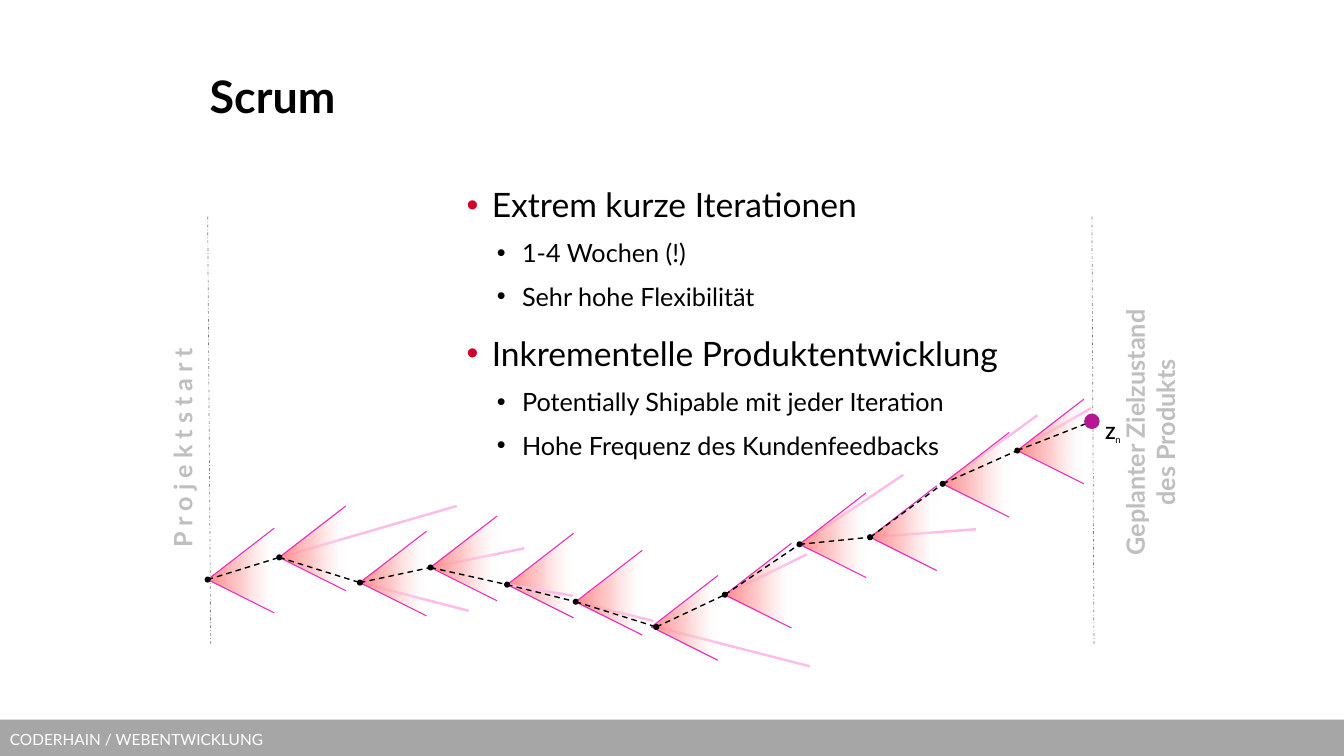
from dataclasses import dataclass
from itertools import pairwise
from typing import Any, NamedTuple

from lxml import etree
from pptx import Presentation
from pptx.dml.color import RGBColor
from pptx.enum import dml, shapes, text
from pptx.oxml import ns
from pptx.util import Inches, Pt

Point = tuple[float, float]


@dataclass(frozen=True)
class Theme:
    font: str = "Lato"
    ink: str = "000000"
    white: str = "FFFFFF"
    bar: str = "A6A6A6"
    label: str = "BFBFBF"
    guide: str = "808080"
    accent: str = "D10029"
    edge: str = "E729BF"
    trail: str = "FFBCE9"
    goal: str = "B71595"
    rim: str = "AB1E8D"
    # position, colour and opacity, all but the colour in percent
    fade: tuple = ((0, "FF8688", 100), (50, "FFB7B8", 70),
                   (80, "FFDCDC", 34), (99, "FFFFFF", 1))
    title: float = 32
    large: float = 24
    body: float = 18
    mark: float = 12
    foot: float = 11


class Sprint(NamedTuple):
    tip: Point
    trail: Point | None = None
    shift: float = 0  # dot's distance to the right of the cone's tip
    front: bool = False  # trail lies over the cone

    @property
    def dot(self) -> Point:
        return self.tip[0] + self.shift, self.tip[1]


class Bullet(NamedTuple):
    words: str
    level: int = 1


class Label(NamedTuple):
    lines: tuple[str, ...]
    mid: Point
    tall: float


T = Theme()
WIDE = 13.33
GOAL = (10.83, 4.18)
CONE, RISE, DROP = 0.66, -0.51, 0.33

SPRINTS = [
    Sprint((2.06, 5.75)),
    Sprint((2.77, 5.53), (4.53, 5.02)),
    Sprint((3.57, 5.78), (4.65, 6.06)),
    Sprint((4.27, 5.63), (5.2, 5.44)),
    Sprint((5.03, 5.8), (5.68, 5.91), front=True),
    Sprint((5.71, 5.97), (6.48, 6.16)),
    Sprint((6.46, 6.22), (8.03, 6.61), shift=0.05),
    Sprint((7.19, 5.9), (8, 5.5)),
    Sprint((7.93, 5.4), (8.96, 4.71)),
    Sprint((8.63, 5.33), (9.68, 5.25)),
    Sprint((9.35, 4.8), (10.29, 4.12)),
    Sprint((10.09, 4.47), (10.82, 4.05)),
]
BULLETS = [
    Bullet("Extrem kurze Iterationen", 0),
    Bullet("1-4 Wochen (!)"),
    Bullet("Sehr hohe Flexibilität"),
    Bullet("Inkrementelle Produktentwicklung", 0),
    Bullet("Potentially Shipable mit jeder Iteration"),
    Bullet("Hohe Frequenz des Kundenfeedbacks"),
]
LABELS = [
    Label(("Geplanter Zielzustand", "des Produkts"), (11.41, 4.29), 0.71),
    Label(("P r o j e k t s t a r t",), (1.86, 4.44), 0.5),
]
GUIDES = [((2.06, 2.15), (2.09, 6.39)), ((10.83, 2.15), (10.85, 6.4))]


def rgb(code: str) -> RGBColor:
    return RGBColor.from_string(code)


def node(parent: Any, tag: str, **attrs: str) -> Any:
    return etree.SubElement(parent, ns.qn(tag), attrs)


def write(para: Any, words: str, size: float, color: str, bold: bool = False) -> Any:
    run = para.add_run()
    run.text = words
    font = run.font
    font.name, font.size, font.bold = T.font, Pt(size), bold
    font.color.rgb = rgb(color)
    return run


def box(parent: Any, left: float, top: float, width: float, height: float) -> Any:
    item = parent.add_textbox(Inches(left), Inches(top), Inches(width), Inches(height))
    item.text_frame.word_wrap = True
    return item


def line(parent: Any, start: Point, end: Point, color: str, width: float,
         dash: Any = None) -> None:
    item = parent.add_connector(shapes.MSO_CONNECTOR.STRAIGHT,
                                *(Inches(v) for v in (*start, *end)))
    item.line.color.rgb = rgb(color)
    item.line.width = Pt(width)
    if dash:
        item.line.dash_style = dash
    node(item._element.spPr, "a:effectLst")


def solid(parent: Any, kind: Any, left: float, top: float, width: float,
          height: float, color: str) -> Any:
    item = parent.add_shape(kind, Inches(left), Inches(top), Inches(width), Inches(height))
    item.shadow.inherit = False
    item.fill.solid()
    item.fill.fore_color.rgb = rgb(color)
    item.line.fill.background()
    return item


def disc(parent: Any, mid: Point, size: float, color: str) -> Any:
    x, y = mid
    return solid(parent, shapes.MSO_SHAPE.OVAL, x - size / 2, y - size / 2, size, size, color)


def cone(parent: Any, tip: Point) -> None:
    """Draw a fading triangle that opens to the right, with two edges."""
    x, y = tip
    ends = [(x + CONE, y + RISE), (x + CONE, y + DROP)]
    path = parent.build_freeform(Inches(x), Inches(y))
    path.add_line_segments([(Inches(a), Inches(b)) for a, b in ends])
    item = path.convert_to_shape()
    item.shadow.inherit = False
    item.line.fill.background()
    item.fill.gradient()
    item.fill.gradient_angle = 0
    stops = item._element.spPr.find(".//" + ns.qn("a:gsLst"))
    for old in list(stops):
        stops.remove(old)
    for place, color, alpha in T.fade:
        stop = node(stops, "a:gs", pos=str(place * 1000))
        tint = node(stop, "a:srgbClr", val=color)
        node(tint, "a:alpha", val=str(alpha * 1000))
    for end in ends:
        line(parent, tip, end, T.edge, 0.75)


def chain(parent: Any) -> None:
    """Draw the sprints, the dashed route through them and the goal."""
    for step in SPRINTS:
        if step.trail and not step.front:
            line(parent, step.dot, step.trail, T.trail, 1.75)
        cone(parent, step.tip)
        if step.trail and step.front:
            line(parent, step.dot, step.trail, T.trail, 1.75)
    for start, end in pairwise([step.dot for step in SPRINTS] + [GOAL]):
        line(parent, start, end, T.ink, 1, dml.MSO_LINE.DASH)
    for step in SPRINTS:
        disc(parent, step.dot, 0.06, T.ink)
    goal = disc(parent, GOAL, 0.14, T.goal)
    goal.line.color.rgb = rgb(T.rim)
    goal.line.width = Pt(1)
    para = box(parent, 10.76, 4.14, 0.56, 0.3).text_frame.paragraphs[0]
    para.alignment = text.PP_ALIGN.CENTER
    write(para, "Z", T.mark, T.ink, True)
    sub = write(para, "n", T.mark, T.ink)
    sub.font._element.set("baseline", "-25000")


def points(parent: Any) -> None:
    frame = box(parent, 4.53, 1.7, 8.34, 5.2).text_frame
    for i, item in enumerate(BULLETS):
        para = frame.add_paragraph() if i else frame.paragraphs[0]
        top = item.level == 0
        para.level = item.level
        para.line_spacing = 1.2
        para.space_before = Pt(10 if top else 5)
        props = para._p.get_or_add_pPr()
        props.set("marL", str(Inches(0.25 if top else 0.55)))
        props.set("indent", str(Inches(-0.25)))
        tint = node(props, "a:buClr")
        node(tint, "a:srgbClr", val=T.accent if top else T.ink)
        node(props, "a:buFont", typeface="Arial")
        node(props, "a:buChar", char="•")
        write(para, item.words, T.large if top else T.body, T.ink)


def upright(parent: Any, label: Label) -> None:
    width = 3
    x, y = label.mid
    item = box(parent, x - width / 2, y - label.tall / 2, width, label.tall)
    item.rotation = 270
    para = item.text_frame.paragraphs[0]
    para.alignment = text.PP_ALIGN.CENTER
    for i, words in enumerate(label.lines):
        if i:
            para.add_line_break()
        write(para, words, T.body, T.label, True)


def main() -> None:
    deck = Presentation()
    deck.slide_width, deck.slide_height = Inches(WIDE), Inches(7.5)
    slide = deck.slides.add_slide(deck.slide_layouts[5])
    tree = slide.shapes

    title = tree.title
    title.left, title.top = Inches(1.98), Inches(0.2)
    title.width, title.height = Inches(7.92), Inches(1.5)
    title.text_frame.vertical_anchor = text.MSO_ANCHOR.MIDDLE
    para = title.text_frame.paragraphs[0]
    para.alignment = text.PP_ALIGN.LEFT
    write(para, "Scrum", T.title, T.ink, True)

    foot = solid(tree, shapes.MSO_SHAPE.RECTANGLE, 0, 7.14, WIDE, 0.39, T.bar)
    foot.text_frame.vertical_anchor = text.MSO_ANCHOR.MIDDLE
    para = foot.text_frame.paragraphs[0]
    para.alignment = text.PP_ALIGN.LEFT
    write(para, "CODERHAIN / WEBENTWICKLUNG", T.foot, T.white)

    points(tree)
    for label in LABELS:
        upright(tree, label)
    for start, end in GUIDES:
        line(tree, start, end, T.guide, 0.5, dml.MSO_LINE.DASH_DOT)
    chain(tree.add_group_shape().shapes)
    deck.save("out.pptx")


if __name__ == "__main__":
    main()
